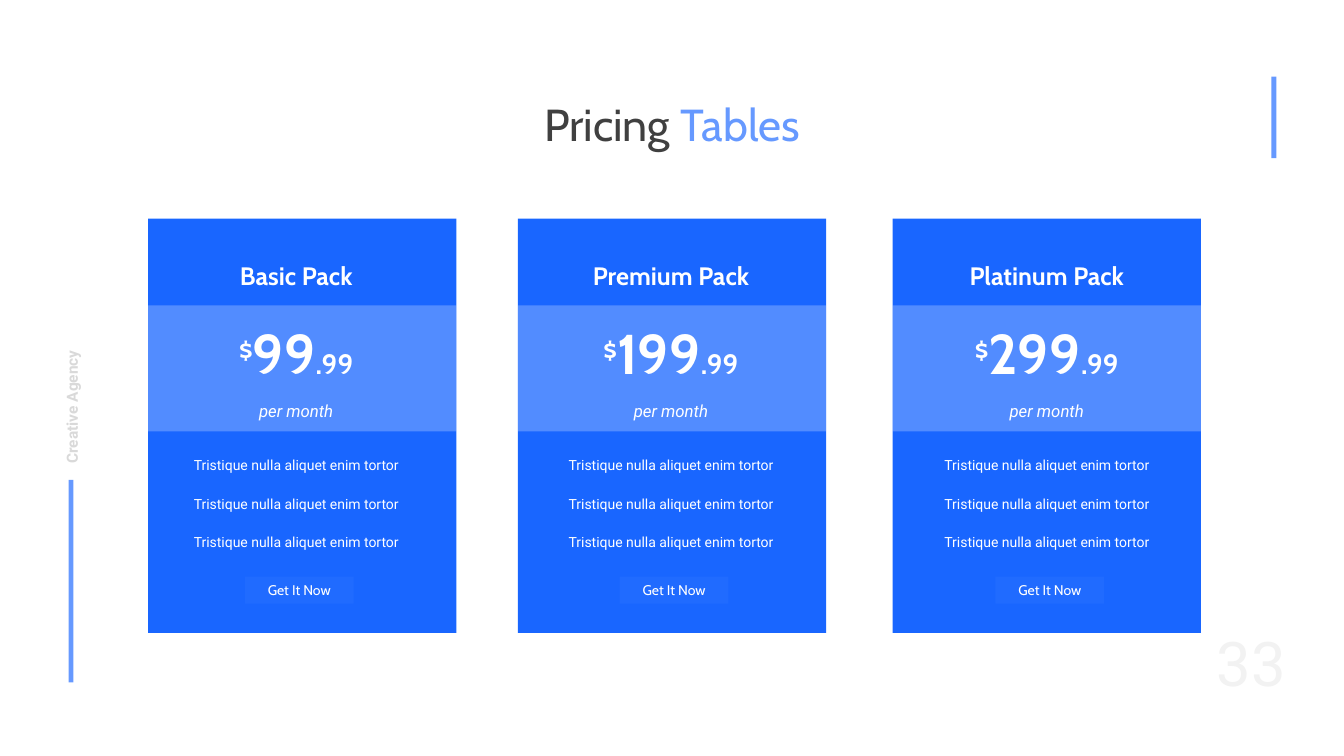
import dataclasses

import pptx
import pptx.dml.color
import pptx.enum.shapes
import pptx.enum.text
import pptx.oxml
import pptx.oxml.ns
import pptx.util

Inches = pptx.util.Inches
ALIGN = pptx.enum.text.PP_ALIGN
ANCHOR = pptx.enum.text.MSO_ANCHOR


@dataclasses.dataclass(frozen=True)
class Theme:
    heading_font: str = "Cabin"
    body_font: str = "Roboto"
    white: str = "FFFFFF"
    dark: str = "404040"
    accent: str = "6699FF"
    card: str = "1966FF"
    button: str = "377AFF"
    label: str = "D9D9D9"
    number: str = "F2F2F2"
    title_size: int = 32
    number_size: int = 44
    pack_size: int = 18
    currency_size: int = 32
    whole_size: int = 40
    cents_size: int = 20
    period_size: int = 12
    label_size: int = 11
    small_size: int = 10


THEME = Theme()


def style_run(run, size, font, color=THEME.white, bold=False, italic=False):
    run.font.size = pptx.util.Pt(size)
    run.font.name = font
    run.font.color.rgb = pptx.dml.color.RGBColor.from_string(color)
    run.font.bold = bold
    run.font.italic = italic


def add_rectangle(slide, left, top, width, height, color, opacity=None):
    """Draw a borderless rectangle; opacity is a percentage."""
    shape = slide.shapes.add_shape(
        pptx.enum.shapes.MSO_SHAPE.RECTANGLE,
        Inches(left), Inches(top), Inches(width), Inches(height))
    shape.shadow.inherit = False
    shape.line.fill.background()
    shape.fill.solid()
    shape.fill.fore_color.rgb = pptx.dml.color.RGBColor.from_string(color)
    if opacity is not None:
        color_element = shape.fill._xPr.find(".//" + pptx.oxml.ns.qn("a:srgbClr"))
        alpha = pptx.oxml.parse_xml(
            "<a:alpha %s/>" % pptx.oxml.ns.nsdecls("a"))
        alpha.set("val", str(opacity * 1000))
        color_element.append(alpha)
    return shape


def add_text(slide, left, top, width, height, text, size, font,
             align=ALIGN.CENTER, spacing=1.5, wrap=True, **style):
    shape = slide.shapes.add_textbox(
        Inches(left), Inches(top), Inches(width), Inches(height))
    shape.text_frame.word_wrap = wrap
    shape.text_frame.text = text
    paragraph = shape.text_frame.paragraphs[0]
    paragraph.alignment = align
    paragraph.line_spacing = spacing
    style_run(paragraph.runs[0], size, font, **style)
    return shape


def add_title(slide, left, top, width, height):
    title = slide.shapes.title
    title.left, title.top = Inches(left), Inches(top)
    title.width, title.height = Inches(width), Inches(height)
    frame = title.text_frame
    frame.auto_size = pptx.enum.text.MSO_AUTO_SIZE.NONE
    frame.vertical_anchor = ANCHOR.TOP
    paragraph = frame.paragraphs[0]
    paragraph.alignment = ALIGN.CENTER
    for text, color in (("Pricing ", THEME.dark), ("Tables", THEME.accent)):
        run = paragraph.add_run()
        run.text = text
        style_run(run, THEME.title_size, THEME.heading_font, color)


def add_frame(slide):
    """Place the accent bars, the side label and the page number."""
    add_rectangle(slide, 0.68, 4.76, 0.05, 2.01, THEME.accent)
    add_rectangle(slide, 12.62, 0.76, 0.05, 0.81, THEME.accent)
    label = add_text(slide, -0.09, 3.75, 1.52, 0.38, "Creative Agency",
                     THEME.label_size, THEME.body_font, ALIGN.JUSTIFY,
                     color=THEME.label, bold=True)
    label.rotation = 270
    add_text(slide, 11.92, 6.15, 1, 0.82, "33", THEME.number_size,
             THEME.body_font, spacing=1, color=THEME.number)


def add_price(slide, center, top, width, whole):
    shape = add_text(slide, center - width / 2, top, width, 0.77, "$",
                     THEME.currency_size, THEME.heading_font,
                     spacing=1, wrap=False, bold=True)
    paragraph = shape.text_frame.paragraphs[0]
    paragraph.runs[0].font._element.set("baseline", "30000")
    for text, size in ((whole, THEME.whole_size), (".99", THEME.cents_size)):
        run = paragraph.add_run()
        run.text = text
        style_run(run, size, THEME.heading_font, bold=True)


def add_card(slide, left, top, width, height, center, pack, whole, price_width):
    """Draw one pricing card with its text centred on the given x."""
    add_rectangle(slide, left, top, width, height, THEME.card)
    add_rectangle(slide, left, top + 0.86, width, 1.25, THEME.white, 25)
    add_text(slide, center - 1.46, top + 0.21, 2.92, 0.55, pack,
             THEME.pack_size, THEME.heading_font, bold=True)
    add_price(slide, center, top + 0.94, price_width, whole)
    add_text(slide, center - 0.67, top + 1.66, 1.34, 0.4, "per month",
             THEME.period_size, THEME.body_font, italic=True)
    for row in range(3):
        add_text(slide, center - 1.39, top + 2.23 + 0.38 * row, 2.78, 0.35,
                 "Tristique nulla aliquet enim tortor",
                 THEME.small_size, THEME.body_font)
    button = add_rectangle(slide, center - 0.51, top + 3.55, 1.08, 0.27,
                           THEME.button, 25)
    button.text_frame.text = "Get It Now"
    button.text_frame.vertical_anchor = ANCHOR.MIDDLE
    paragraph = button.text_frame.paragraphs[0]
    paragraph.alignment = ALIGN.CENTER
    style_run(paragraph.runs[0], THEME.small_size, THEME.heading_font)


def build_pricing_slide(presentation):
    slide = presentation.slides.add_slide(presentation.slide_layouts[5])
    add_frame(slide)
    cards = (
        (1.47, 2.94, "Basic Pack", "99", 1.38),
        (5.14, 6.66, "Premium Pack", "199", 1.69),
        (8.86, 10.39, "Platinum Pack", "299", 1.69),
    )
    for left, center, pack, whole, price_width in cards:
        add_card(slide, left, 2.17, 3.06, 4.11, center, pack, whole, price_width)
    add_title(slide, 4.49, 0.91, 4.36, 0.64)


def main():
    presentation = pptx.Presentation()
    presentation.slide_width = Inches(13.34)
    presentation.slide_height = Inches(7.5)
    build_pricing_slide(presentation)
    presentation.save("out.pptx")


if __name__ == "__main__":
    main()
